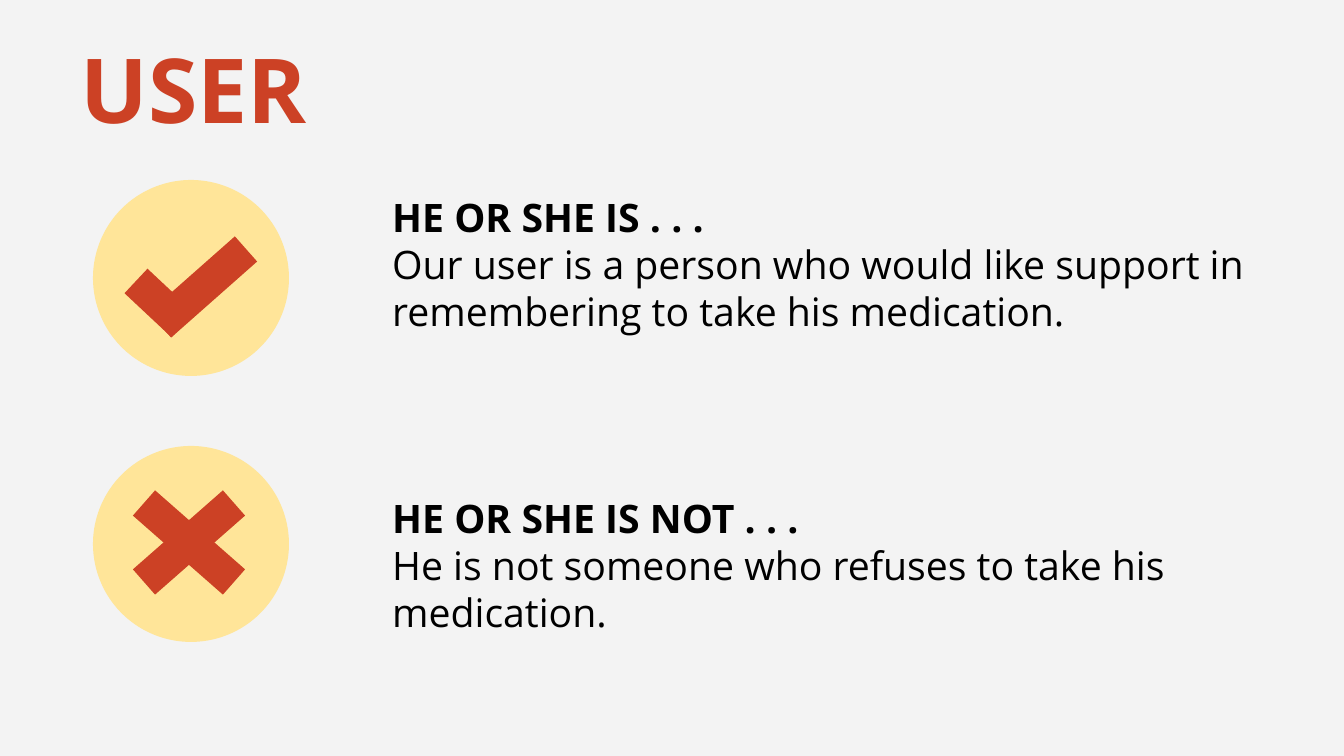
from pptx import Presentation
from pptx.dml.color import RGBColor
from pptx.enum.shapes import MSO_CONNECTOR, MSO_SHAPE
from pptx.enum.text import MSO_ANCHOR, MSO_AUTO_SIZE, PP_ALIGN
from pptx.oxml.ns import qn
from pptx.util import Pt
from lxml import etree

OVAL, LINE = MSO_SHAPE.OVAL, MSO_CONNECTOR.STRAIGHT
TOP, BOTTOM = MSO_ANCHOR.TOP, MSO_ANCHOR.BOTTOM
LEFT, FIXED = PP_ALIGN.LEFT, MSO_AUTO_SIZE.NONE

FONT = "Open Sans"
COLORS = {"back": "F3F3F3", "disc": "FFE599", "mark": "CC4125", "text": "000000"}
TITLE = ("USER", (67, 31, 362, 124))
DISC_X, DISC = 93, 196
TEXT_X, TEXT_H = 379, 211
ROWS = [
    {"head": "HE OR SHE IS . . .",
     "body": "Our user is a person who would like support in "
             "remembering to take his medication.",
     "disc": 180, "text": 180, "wide": 923,
     "mark": [(246, 249, 160, 325), (136, 281, 183, 325)]},
    {"head": "HE OR SHE IS NOT . . .",
     "body": "He is not someone who refuses to take his medication.",
     "disc": 446, "text": 481, "wide": 839,
     "mark": [(144, 503, 234, 582), (234, 503, 144, 582)]},
]


def px(*nums):
    return [round(n * 914400 / 134.4) for n in nums]


def tint(name):
    return RGBColor.from_string(COLORS[name])


def frame(shape, anchor):
    box = shape.text_frame
    box.word_wrap = True
    box.auto_size = FIXED
    box.vertical_anchor = anchor
    box.margin_left = box.margin_right = box.margin_top = box.margin_bottom = Pt(7.2)
    return box


def style(para, size, color, bold):
    para.alignment = LEFT
    para.line_spacing = 1.0
    para.space_before = para.space_after = Pt(0)
    font = para.font
    font.name, font.size, font.bold = FONT, Pt(size), bold
    font.color.rgb = tint(color)


def add_disc(y):
    disc = slide.shapes.add_shape(OVAL, *px(DISC_X, y, DISC, DISC))
    disc.shadow.inherit = False
    disc.fill.solid()
    disc.fill.fore_color.rgb = tint("disc")
    disc.line.fill.background()


def add_stroke(ends):
    stroke = slide.shapes.add_connector(LINE, *px(*ends))
    stroke.line.width = Pt(18)
    stroke.line.color.rgb = tint("mark")
    etree.SubElement(stroke._element.spPr, qn("a:effectLst"))


def add_text(row):
    shape = slide.shapes.add_textbox(*px(TEXT_X, row["text"], row["wide"], TEXT_H))
    box = frame(shape, TOP)
    box.text = row["head"] + "\n" + row["body"]
    for para, bold in zip(box.paragraphs, (True, False)):
        style(para, 21, "text", bold)


deck = Presentation()
deck.slide_width, deck.slide_height = px(1344, 756)
slide = deck.slides.add_slide(deck.slide_layouts[5])
slide.background.fill.solid()
slide.background.fill.fore_color.rgb = tint("back")

title = slide.shapes.title
title.left, title.top, title.width, title.height = px(*TITLE[1])
box = frame(title, BOTTOM)
box.text = TITLE[0]
style(box.paragraphs[0], 48, "mark", True)

for row in ROWS:
    add_disc(row["disc"])
    for ends in row["mark"]:
        add_stroke(ends)
    add_text(row)

deck.save("out.pptx")
